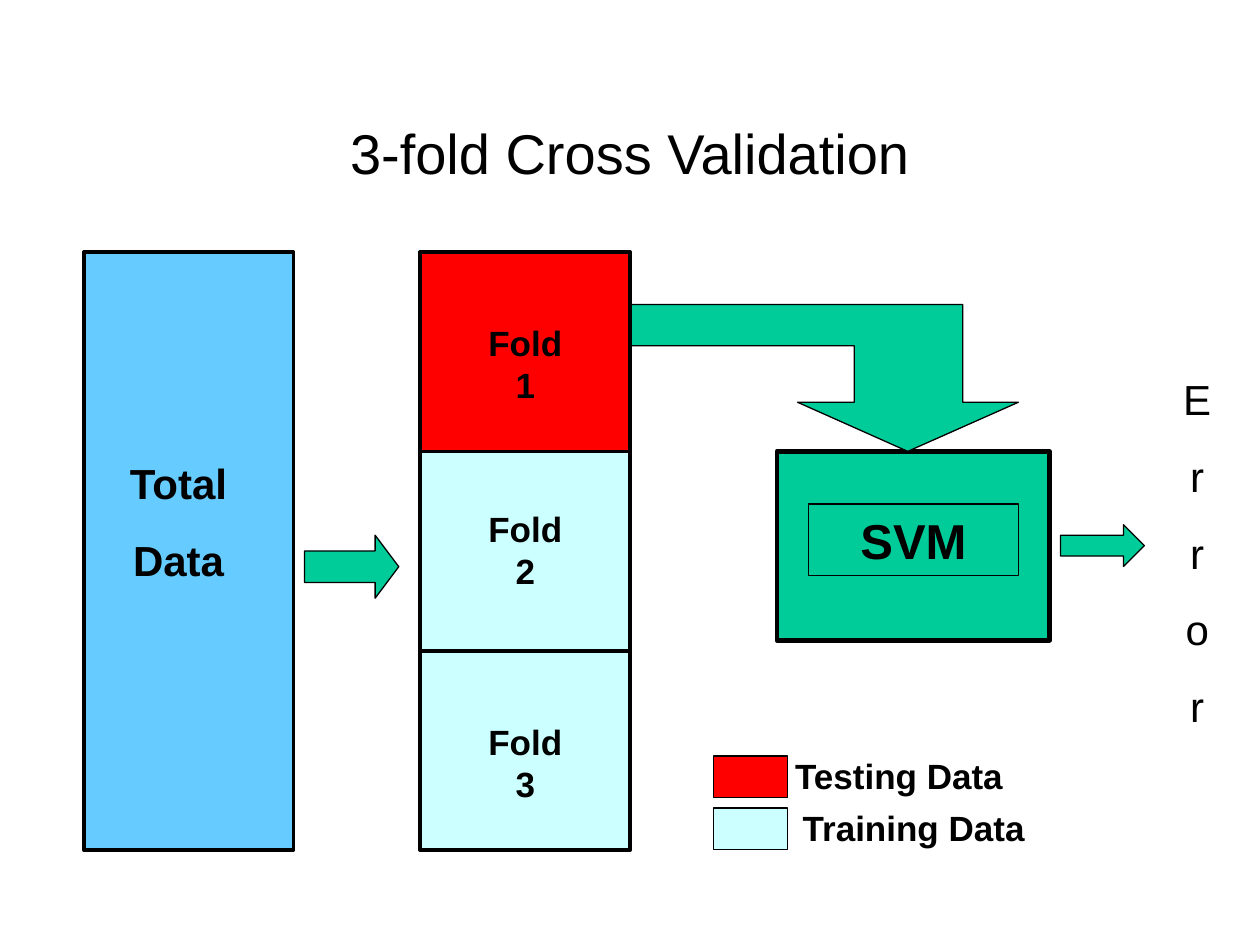
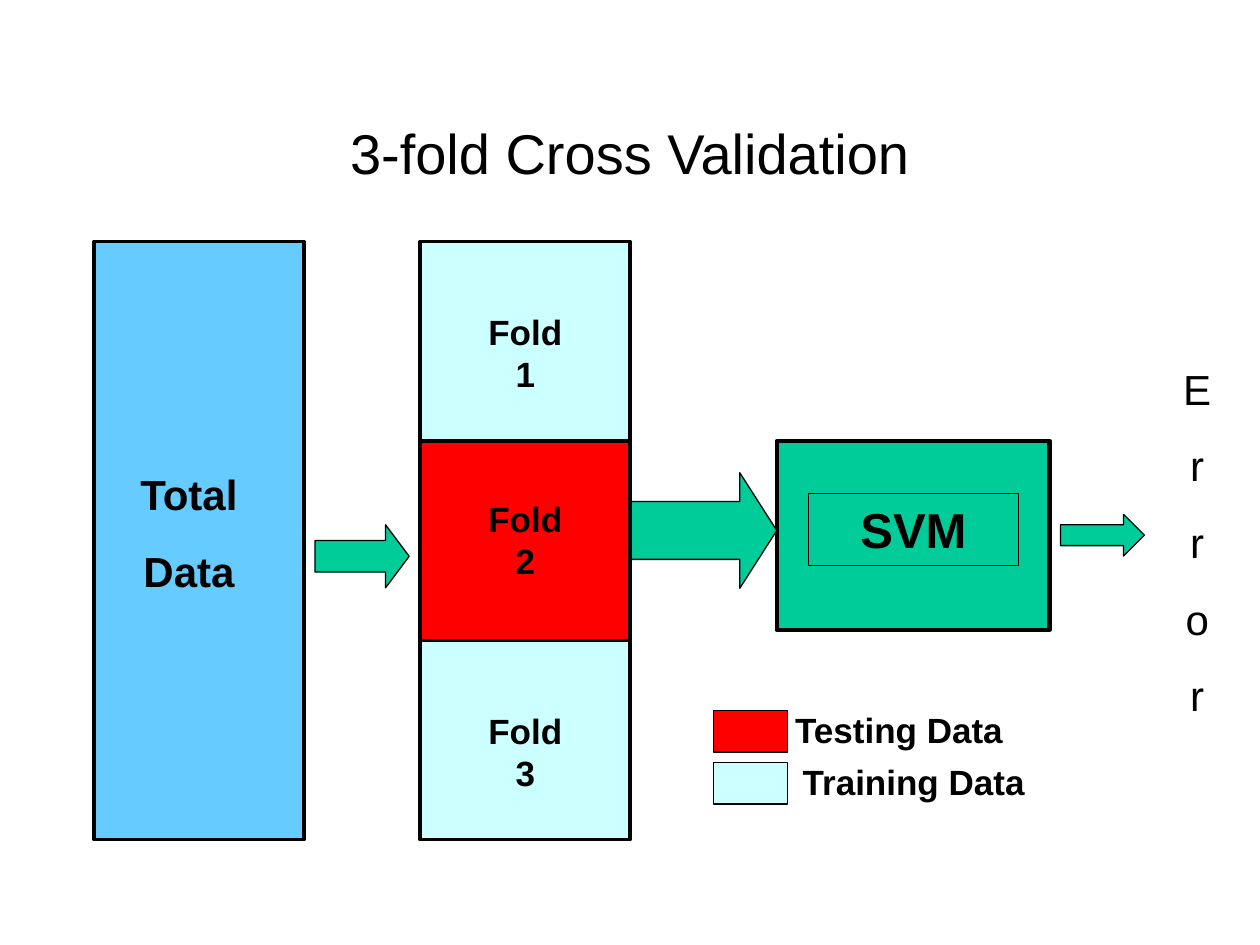
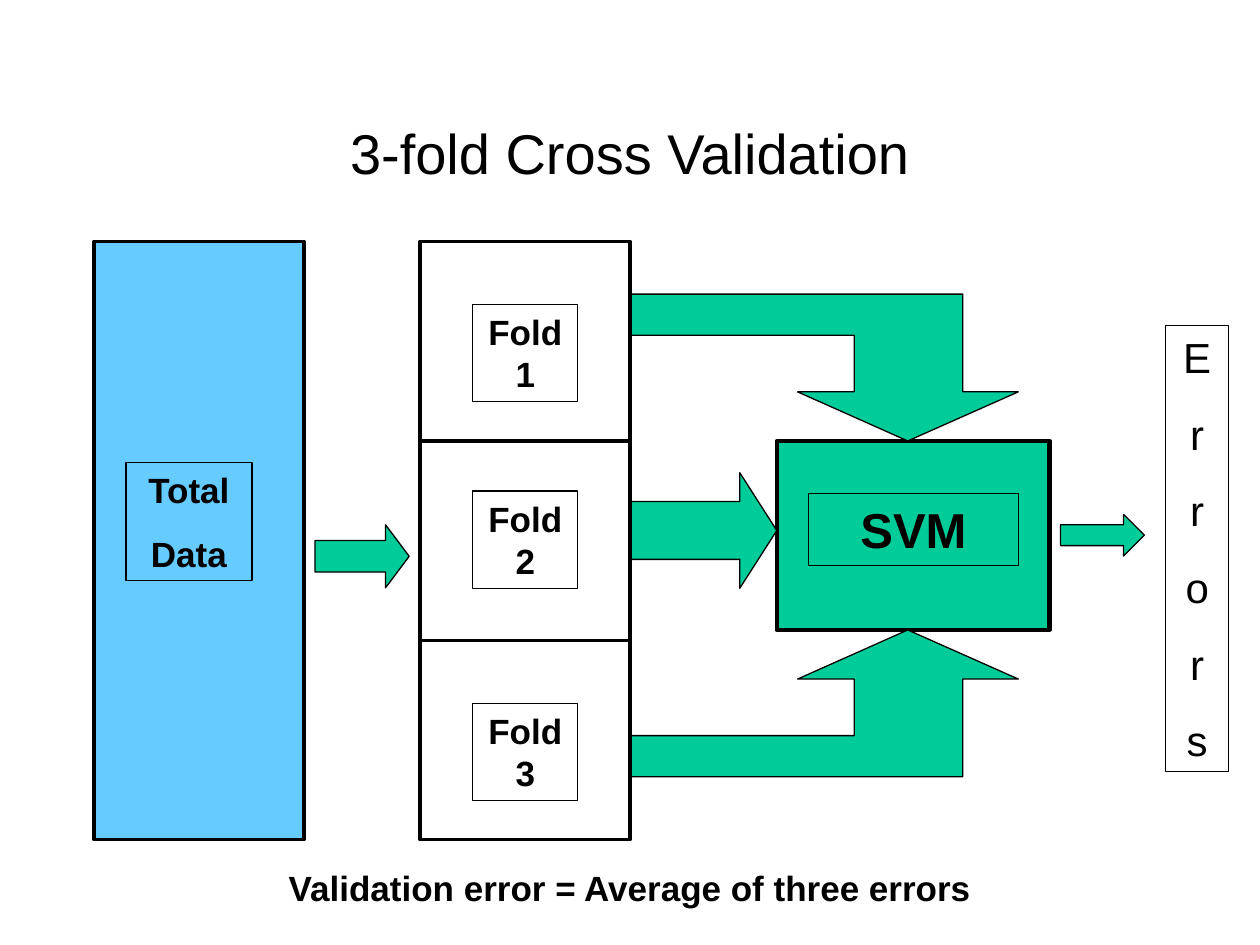
from dataclasses import dataclass

from pptx import Presentation
from pptx.dml.color import RGBColor
from pptx.enum.shapes import MSO_SHAPE
from pptx.enum.text import MSO_ANCHOR, MSO_AUTO_SIZE, PP_ALIGN
from pptx.util import Cm, Pt


@dataclass(frozen=True)
class Theme:
    font: str = "Arial"
    ink: str = "000000"
    total: str = "66CCFF"
    flow: str = "00CC99"
    testing: str = "FF0000"
    training: str = "CCFFFF"
    title: int = 32
    svm: int = 28
    label: int = 24
    small: int = 20
    hairline: float = 0.75
    border: float = 2
    heavy: float = 2.5


# Fixed places in centimetres; heights on the page count from the diagram's top
COLUMN_W = 4.23
FOLD_X, FOLD_H = 8.47, 4.02
FOLD_RIGHT = FOLD_X + COLUMN_W
FOLD_LABEL_DY = (1.27, 1.01, 1.27)
SVM_X, SVM_W, SVM_H = 15.66, 5.5, 3.81
LEGEND_X, LEGEND_STEP = 14.39, 1.05


def set_all(target, values):
    for name, value in values.items():
        setattr(target, name, value)


class Deck:
    """Holds the theme and the current slide, and draws each kind of element."""

    def __init__(self, prs, theme):
        self.prs = prs
        self.theme = theme
        self.s = None

    def new_slide(self, title):
        self.s = self.prs.slides.add_slide(self.prs.slide_layouts[5])
        sp = self.s.shapes.title
        set_all(sp, dict(left=Cm(1.9), top=Cm(1.69), width=Cm(21.6), height=Cm(2.75)))
        self.fill_text(sp, [title], self.theme.title, bold=False,
                       vertical_anchor=MSO_ANCHOR.MIDDLE, auto_size=MSO_AUTO_SIZE.NONE)

    def fill_text(self, sp, lines, size, bold=True, align=PP_ALIGN.CENTER, **frame):
        tf = sp.text_frame
        set_all(tf, dict(word_wrap=True, vertical_anchor=MSO_ANCHOR.TOP) | frame)
        for i, line in enumerate(lines):
            p = tf.add_paragraph() if i else tf.paragraphs[0]
            p.alignment = align
            p.space_before = Pt(size * 0.625 if i else 0)
            r = p.add_run()
            r.text = line
            set_all(r.font, dict(name=self.theme.font, size=Pt(size), bold=bold))
            r.font.color.rgb = RGBColor.from_string(self.theme.ink)

    def paint(self, sp, fill, line):
        sp.shadow.inherit = False
        if fill:
            sp.fill.solid()
            sp.fill.fore_color.rgb = RGBColor.from_string(fill)
        else:
            sp.fill.background()
        sp.line.color.rgb = RGBColor.from_string(self.theme.ink)
        sp.line.width = Pt(line)

    def box(self, x, y, w, h, fill=None, line=Theme.border, kind=MSO_SHAPE.RECTANGLE):
        sp = self.s.shapes.add_shape(kind, Cm(x), Cm(y), Cm(w), Cm(h))
        self.paint(sp, fill, line)
        return sp

    def arrow(self, x, y, w, h, head=0.5):
        sp = self.box(x, y, w, h, self.theme.flow, self.theme.hairline, MSO_SHAPE.RIGHT_ARROW)
        sp.adjustments[1] = head

    def elbow(self, edge, side):
        """Bent arrow from a fold to the SVM edge, from above (-1) or below (1)."""
        outline = [(FOLD_RIGHT, 2.13), (17.22, 2.13), (17.22, 0.99), (16.08, 0.99), (18.3, 0),
                   (20.53, 0.99), (19.41, 0.99), (19.41, 2.96), (FOLD_RIGHT, 2.96)]
        points = [(Cm(x), Cm(edge + side * d)) for x, d in outline]
        bent = self.s.shapes.build_freeform(*points[0])
        bent.add_line_segments(points[1:], close=True)
        self.paint(bent.convert_to_shape(), self.theme.flow, self.theme.hairline)

    def label(self, x, y, w, h, lines, size, framed=False, **style):
        if framed:
            sp = self.box(x, y, w, h, line=self.theme.hairline)
        else:
            sp = self.s.shapes.add_textbox(Cm(x), Cm(y), Cm(w), Cm(h))
        self.fill_text(sp, lines, size, **style)

    def legend(self, y):
        t = self.theme
        entries = [("Testing Data", t.testing, 15.72, 4.75),
                   ("Training Data", t.training, 15.88, 5.03)]
        for i, (name, fill, x, w) in enumerate(entries):
            row = y + i * LEGEND_STEP
            self.box(LEGEND_X, row, 1.48, 0.84, fill, t.hairline)
            self.label(x, row - 0.16, w, 1.12, [name], t.small,
                       align=PP_ALIGN.RIGHT, word_wrap=False)

    def diagram(self, x, top, sources, total_dy, total_h, error, error_dy, error_h,
                testing=None, framed=False):
        """Total data, folds, SVM and error; sources are the folds with an arrow."""
        t = self.theme
        # Total data column
        self.box(x, top, COLUMN_W, 3 * FOLD_H, t.total)
        self.label(x + 0.64, top + total_dy, 2.54, total_h, ["Total", "Data"],
                   t.small if framed else t.label, framed)
        # SVM
        svm_y = top + FOLD_H
        self.box(SVM_X, svm_y, SVM_W, SVM_H, t.flow, t.heavy)
        self.label(SVM_X + 0.64, svm_y + 1.06, 4.23, 1.45, ["SVM"], t.svm, framed=True)
        # Arrows
        if 3 in sources:
            self.elbow(svm_y + SVM_H, 1)
        if 1 in sources:
            self.elbow(svm_y, -1)
        if 2 in sources:
            self.arrow(FOLD_RIGHT, top + 4.66, SVM_X - FOLD_RIGHT, 2.33, 0.32)
        self.arrow(x + 4.45, top + 5.71, 1.9, 1.27, 0.375)
        self.arrow(21.38, top + 5.5, 1.69, 0.84)
        # Folds
        for n, dy in enumerate(FOLD_LABEL_DY, 1):
            y = top + (n - 1) * FOLD_H
            fill = None if framed else t.testing if n == testing else t.training
            self.box(FOLD_X, y, COLUMN_W, FOLD_H, fill)
            self.label(9.53, y + dy, 2.12, 1.96, [f"Fold {n}"], t.small, framed)
        # Error, one letter a line
        self.label(23.5, top + error_dy, 1.27, error_h, error, t.label, framed, bold=False)


def main():
    prs = Presentation()
    set_all(prs, dict(slide_width=Cm(25.4), slide_height=Cm(19.05)))
    deck = Deck(prs, Theme())
    title = "3-fold Cross Validation"
    single = dict(total_h=2.82, error="Error", error_dy=2.33, error_h=7.47)

    # Fold 1 tests
    deck.new_slide(title)
    deck.diagram(1.69, 5.08, [1], total_dy=4.02, testing=1, **single)
    deck.legend(15.24)

    # Fold 2 tests
    deck.new_slide(title)
    deck.diagram(1.9, 4.87, [2], total_dy=4.45, testing=2, **single)
    deck.legend(14.32)

    # All folds together
    deck.new_slide(title)
    deck.diagram(1.9, 4.87, [1, 2, 3], total_dy=4.45, total_h=2.39,
                 error="Errors", error_dy=1.69, error_h=8.99, framed=True)
    deck.label(2.64, 17.35, 20.12, 1.12, ["Validation error = Average of three errors"],
               deck.theme.small)

    prs.save("out.pptx")


if __name__ == "__main__":
    main()
